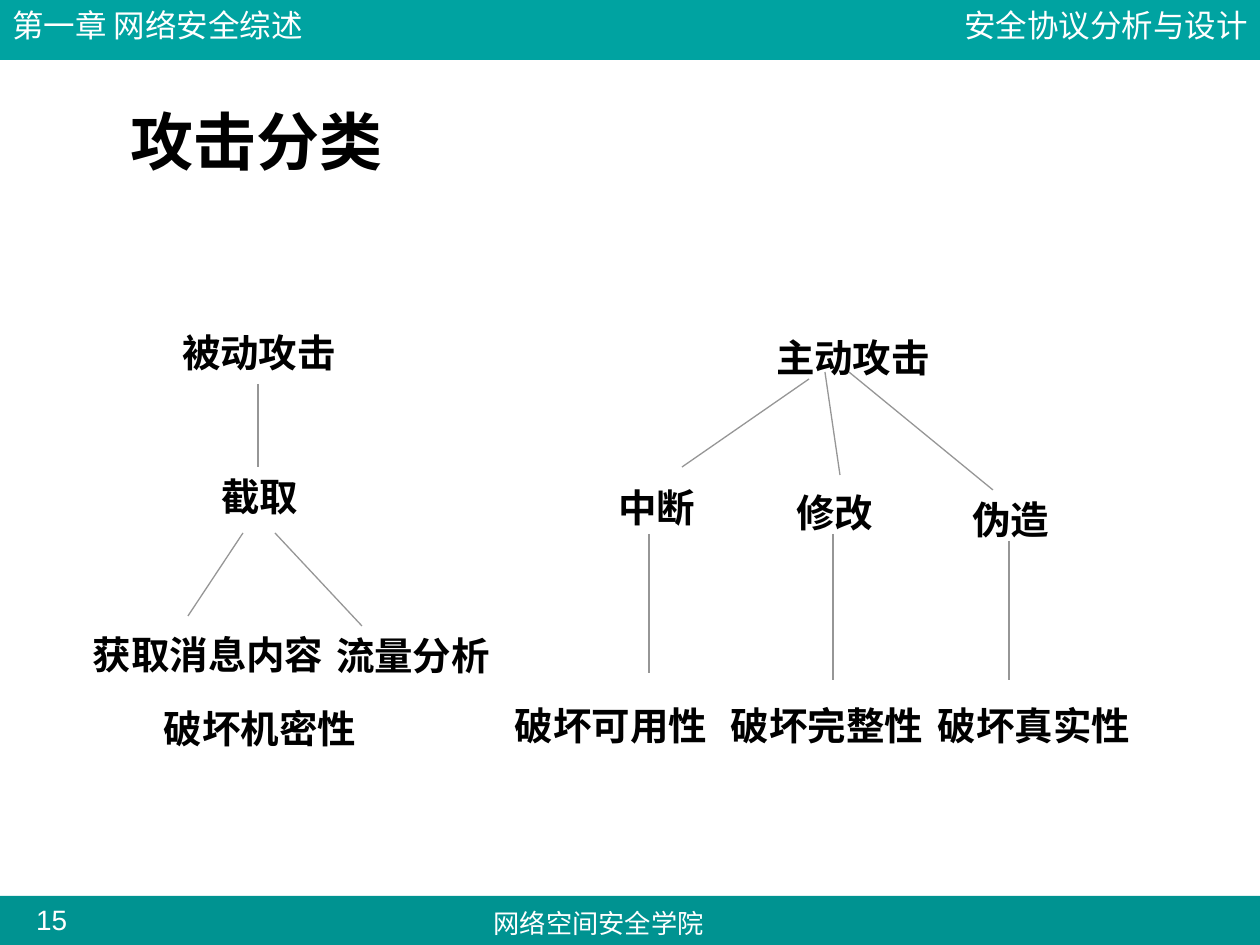
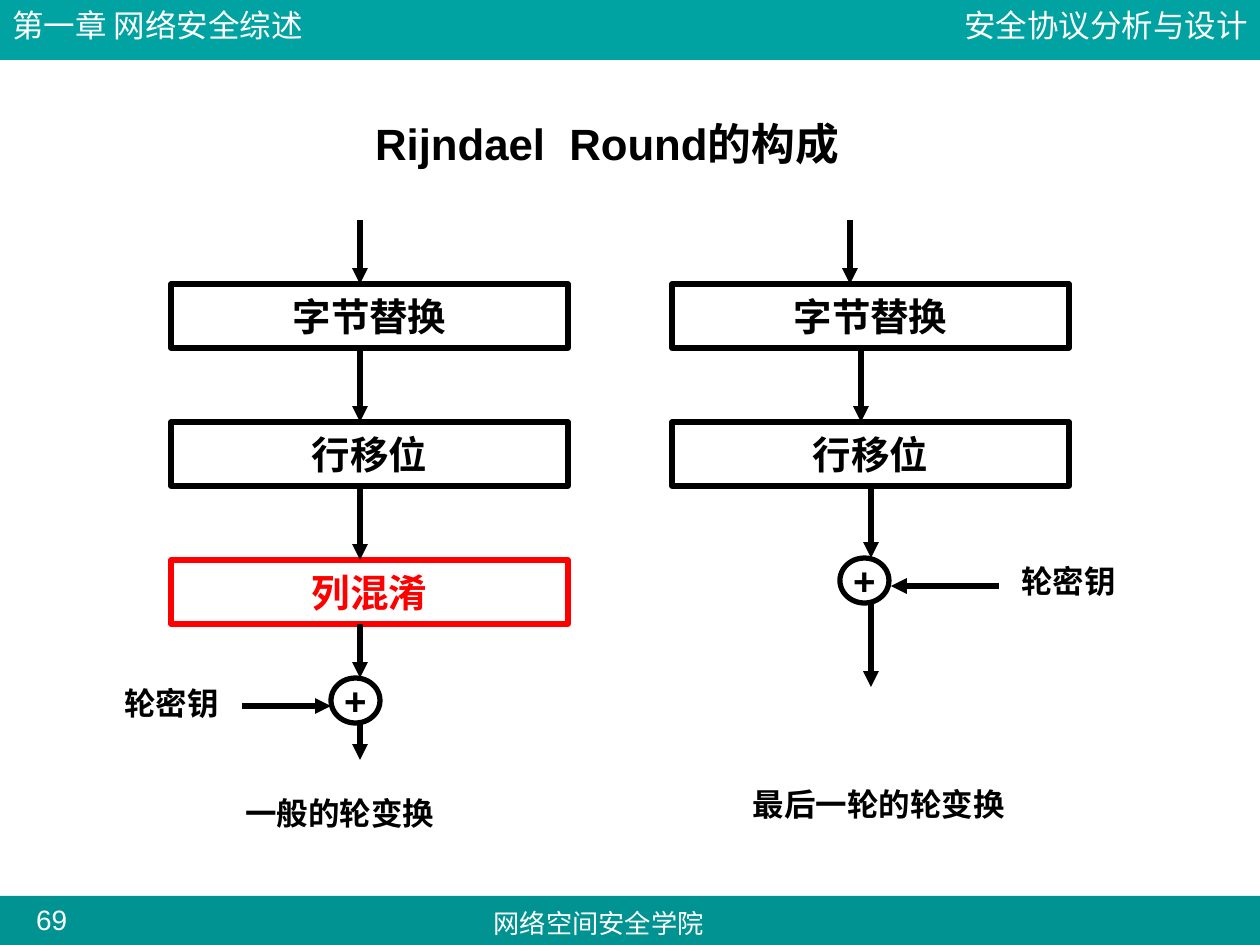
from lxml.etree import SubElement as Sub
from pptx import Presentation
from pptx.dml.color import RGBColor as Rgb
from pptx.enum.shapes import MSO_CONNECTOR as Conn, MSO_SHAPE as Form
from pptx.enum.text import MSO_ANCHOR as Anchor, MSO_AUTO_SIZE as Auto, PP_ALIGN as Align
from pptx.oxml.ns import qn
from pptx.util import Pt

SCALE = 914400 / 126
WIDE, HIGH = 1260, 945
BLACK, WHITE, RED, GREY = "000000", "FFFFFF", "FF0000", "969696"
SANS, SERIF = "Arial", "Times New Roman"
LEFT, MID, RIGHT = Align.LEFT, Align.CENTER, Align.RIGHT


def emu(*sizes):
    return [round(size * SCALE) for size in sizes]


def tint(code):
    return Rgb.from_string(code)


def apply(item, values):
    for name, value in values.items():
        setattr(item, name, value)


class Deck:
    top, base = "00A3A1", "009391"
    page_size = 16

    def __init__(self):
        self.show = Presentation()
        width, height = emu(WIDE, HIGH)
        apply(self.show, {"slide_width": width, "slide_height": height})

    def page(self, number):
        self.slide = self.show.slides.add_slide(self.show.slide_layouts[5])
        self.band(896, 49, self.base)
        self.band(0, 60, self.top)
        self.note("安全协议分析与设计", 872, 0, 388, color=WHITE, align=RIGHT, bold=False)
        self.note("第一章 网络安全综述", 0, 0, 388, color=WHITE, align=LEFT, bold=False)
        self.note("网络空间安全学院", 451, 901, 295, 44, size=15, color=WHITE, bold=False)
        self.note(number, 18, 903, 67, 34, size=self.page_size, color=WHITE,
                  bold=False, inset=0)

    def letter(self, shape, text, size=18, color=BLACK, font=SANS, align=MID,
               bold=True, wrap=True, anchor=Anchor.TOP, inset=None, line=1.0):
        frame = shape.text_frame
        frame.text = text
        apply(frame, {"auto_size": Auto.NONE, "word_wrap": wrap, "vertical_anchor": anchor})
        if inset is not None:
            for side in ("left", "right", "top", "bottom"):
                setattr(frame, f"margin_{side}", inset)
        para = frame.paragraphs[0]
        apply(para, {"alignment": align, "line_spacing": line})
        apply(para.font, {"size": Pt(size), "name": font, "bold": bold})
        para.font.color.rgb = tint(color)

    def title(self, text, x, y, w, h, **style):
        shape = self.slide.shapes.title
        left, top, width, height = emu(x, y, w, h)
        apply(shape, {"left": left, "top": top, "width": width, "height": height})
        self.letter(shape, text, **style)

    def note(self, text, x, y, w, h=50, **style):
        self.letter(self.slide.shapes.add_textbox(*emu(x, y, w, h)), text, **style)

    def label(self, text, center, y):
        width = 39 * len(text) + 25
        self.note(text, center - width / 2, y, width, 59, size=22, font=SERIF, wrap=False)

    def shape(self, form, x, y, w, h):
        shape = self.slide.shapes.add_shape(form, *emu(x, y, w, h))
        shape.shadow.inherit = False
        return shape

    def band(self, y, h, color):
        shape = self.shape(Form.RECTANGLE, 0, y, WIDE, h)
        shape.fill.solid()
        shape.fill.fore_color.rgb = tint(color)
        shape.line.fill.background()

    def node(self, text, x, y, w, h, form=Form.RECTANGLE, color=BLACK):
        shape = self.shape(form, x, y, w, h)
        shape.fill.background()
        shape.line.color.rgb = tint(color)
        shape.line.width = Pt(3)
        self.letter(shape, text, size=22, color=color, wrap=False, anchor=Anchor.MIDDLE)

    def line(self, x1, y1, x2, y2, color=GREY, width=0.75, arrow=False):
        link = self.slide.shapes.add_connector(Conn.STRAIGHT, *emu(x1, y1, x2, y2))
        link.line.color.rgb = tint(color)
        link.line.width = Pt(width)
        props = link._element.spPr
        if arrow:
            Sub(props.find(qn("a:ln")), qn("a:tailEnd"), type="triangle")
        Sub(props, qn("a:effectLst"))

    def arrow(self, x1, y1, x2, y2):
        self.line(x1, y1, x2, y2, color=BLACK, width=3, arrow=True)


def attack(deck):
    deck.page("15")
    deck.title("攻击分类", 118, 105, 1074, 145, size=36, font=SERIF, align=LEFT, line=0.9)
    labels = [
        ("被动攻击", 259, 323), ("截取", 260, 467),
        ("获取消息内容", 208, 625), ("流量分析", 413, 626), ("破坏机密性", 260, 699),
        ("主动攻击", 853, 328),
        ("中断", 657, 478), ("修改", 835, 483), ("伪造", 1011, 490),
        ("破坏可用性", 611, 696), ("破坏完整性", 827, 696), ("破坏真实性", 1034, 696),
    ]
    for item in labels:
        deck.label(*item)
    links = [
        (258, 384, 258, 467), (243, 533, 188, 616), (275, 533, 362, 626),
        (809, 379, 682, 467), (825, 372, 840, 475), (849, 372, 993, 490),
        (649, 534, 649, 673), (833, 534, 833, 680), (1009, 541, 1009, 680),
    ]
    for ends in links:
        deck.line(*ends)


def chain(deck, x, steps, axes, ring, tail):
    first, pitch, width, height = 284, 138, 397, 64
    start = 220
    for row, (text, color) in enumerate(steps):
        y = first + row * pitch
        deck.node(text, x, y, width, height, color=color)
        deck.arrow(axes[row], start, axes[row], y)
        start = y + height
    left, top = ring
    deck.arrow(axes[-1], start, axes[-1], top)
    deck.node("+", left, top, 49, 45, form=Form.OVAL)
    deck.arrow(axes[-1], top + 45, axes[-1], tail)


def rounds(deck):
    deck.page("69")
    deck.title("Rijndael  Round的构成", 220, 110, 774, 66, size=25)
    steps = [("字节替换", BLACK), ("行移位", BLACK), ("列混淆", RED)]
    chain(deck, 171, steps, [360] * 4, (331, 678), 760)
    chain(deck, 672, steps[:2], [850, 861, 871], (840, 558), 687)
    deck.arrow(242, 706, 331, 706)
    deck.arrow(999, 586, 891, 586)
    deck.note("轮密钥", 87, 678, 169)
    deck.note("轮密钥", 984, 556, 169)
    deck.note("一般的轮变换", 112, 788, 456)
    deck.note("最后一轮的轮变换", 651, 779, 456)


def main():
    deck = Deck()
    attack(deck)
    rounds(deck)
    deck.show.save("out.pptx")


if __name__ == "__main__":
    main()
